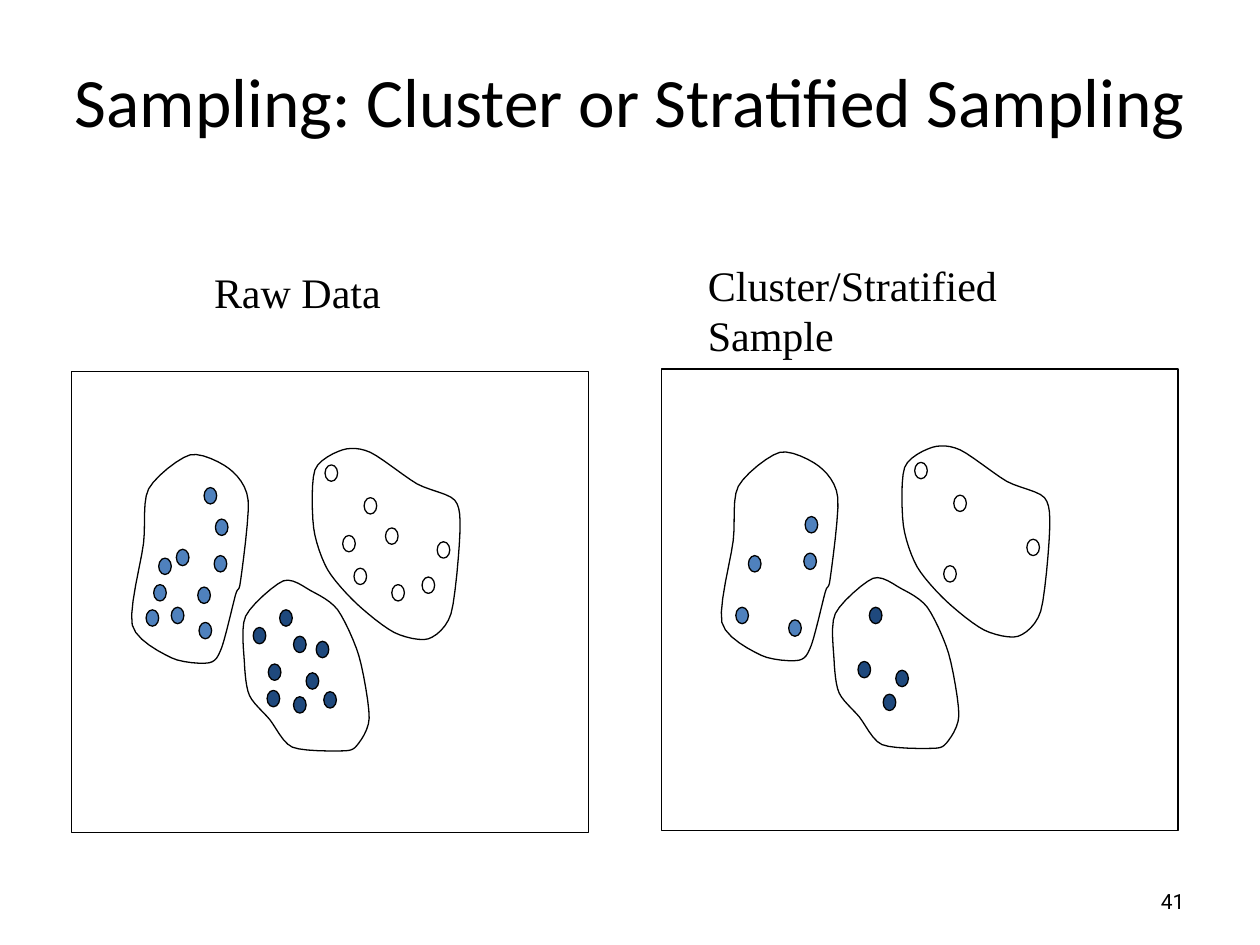
from pptx import Presentation
from pptx.dml.color import RGBColor
from pptx.enum.shapes import MSO_SHAPE
from pptx.enum.text import MSO_ANCHOR, PP_ALIGN
from pptx.util import Inches, Pt

DOT, RECT = MSO_SHAPE.FLOWCHART_CONNECTOR, MSO_SHAPE.RECTANGLE
LEFT, MID, RIGHT = PP_ALIGN.LEFT, PP_ALIGN.CENTER, PP_ALIGN.RIGHT
TOP, CENTER = MSO_ANCHOR.TOP, MSO_ANCHOR.MIDDLE
BLACK = RGBColor(0x00, 0x00, 0x00)
WHITE = RGBColor(0xFF, 0xFF, 0xFF)
NAVY = RGBColor(0x1F, 0x49, 0x7D)
BLUE = RGBColor(0x4F, 0x81, 0xBD)

WIDE, HIGH = 10, 7.5
FRAME = (0.57, 2.95, 4.1, 3.66)
SIZE = (0.1, 0.13)
STEPS = 6
BEND = 0.4

TITLE = "Sampling: Cluster or Stratified Sampling"
# text, box, right inset, wrap, font, size, alignment, anchor
LABELS = [
    ("Raw Data", (1.6, 2.07, 1.61, 0.5), 0.1, False, "Times New Roman", 24, LEFT, TOP),
    ("Cluster/Stratified Sample", (5.52, 2.01, 3.57, 0.5), 0.6, True,
     "Times New Roman", 24, LEFT, TOP),
    ("41", (7.17, 6.95, 2.33, 0.4), 0.1, True, "Roboto", 12, RIGHT, CENTER),
]

# Each cluster: dots kept in the sample, dots left out, and the points
# that its smooth outline passes through.
CLUSTERS = [
    {
        "fill": WHITE,
        "kept": [(2.89, 3.95), (2.81, 4.51), (3.47, 4.3), (2.58, 3.69)],
        "rest": [(3.06, 4.19), (2.72, 4.25), (3.35, 4.58), (3.11, 4.64)],
        "edge": [(3.61, 3.97), (3.65, 4.24), (3.58, 4.87), (3.4, 5.07), (3.13, 5.02),
                 (2.83, 4.79), (2.6, 4.52), (2.49, 4.19), (2.5, 3.73), (2.72, 3.57),
                 (2.94, 3.59), (3.31, 3.84)],
    },
    {
        "fill": NAVY,
        "kept": [(2.33, 5.53), (2.43, 5.34), (2.13, 5.27), (2.22, 4.84)],
        "rest": [(2.01, 4.98), (2.51, 5.09), (2.12, 5.48), (2.33, 5.05), (2.57, 5.49)],
        "edge": [(2.14, 5.71), (1.98, 5.52), (1.94, 5.26), (1.95, 4.89), (2.25, 4.61),
                 (2.47, 4.69), (2.68, 4.84), (2.85, 5.21), (2.93, 5.7), (2.83, 5.92),
                 (2.71, 5.96), (2.32, 5.93)],
    },
    {
        "fill": BLUE,
        "kept": [(1.16, 4.84), (1.26, 4.43), (1.58, 4.94), (1.7, 4.41), (1.71, 4.12)],
        "rest": [(1.36, 4.82), (1.22, 4.64), (1.57, 4.66), (1.4, 4.36), (1.62, 3.87)],
        "edge": [(1.87, 4.72), (1.76, 5.14), (1.66, 5.26), (1.36, 5.22), (1.05, 4.96),
                 (1.14, 4.31), (1.18, 3.88), (1.51, 3.61), (1.82, 3.72), (1.97, 3.97),
                 (1.91, 4.61)],
    },
]
# shift of the panel, and which dots it shows
PANELS = [((0, 0), ("kept", "rest")), ((4.68, -0.02), ("kept",))]


def paint(shape, fill=None):
    shape.shadow.inherit = False
    if fill is None:
        shape.fill.background()
    else:
        shape.fill.solid()
        shape.fill.fore_color.rgb = fill
    shape.line.color.rgb = BLACK
    shape.line.width = Pt(0.75)


def blend(a, b, c, d, t):
    """Return the value at share t of the way from b to c on a smooth curve."""
    u = 1 - t
    return (b * u * u * (1 + 2 * t) + c * t * t * (1 + 2 * u)
            + BEND * t * u * (u * (c - a) - t * (d - b)))


def trace(edge):
    """Return points on a smooth closed curve through the given ones."""
    count = len(edge)
    out = []
    for i in range(count):
        near = [edge[(i + k) % count] for k in range(-1, 3)]
        for step in range(STEPS):
            out.append([blend(*axis, step / STEPS) for axis in zip(*near)])
    return out


def draw_panel(slide, shift, kinds):
    shapes = slide.shapes.add_group_shape().shapes

    def move(spot):
        return [Inches(v + d) for v, d in zip(spot, shift)]

    paint(shapes.add_shape(RECT, *move(FRAME[:2]), *map(Inches, FRAME[2:])))
    for group in CLUSTERS:
        for kind in kinds:
            for spot in group[kind]:
                paint(shapes.add_shape(DOT, *move(spot), *map(Inches, SIZE)), group["fill"])
        first, *others = map(move, trace(group["edge"]))
        pen = shapes.build_freeform(*first)
        pen.add_line_segments(others, close=True)
        paint(pen.convert_to_shape())


def write(shape, text, face, size, align, anchor):
    frame = shape.text_frame
    frame.text = text
    frame.vertical_anchor = anchor
    para = frame.paragraphs[0]
    para.alignment = align
    font = para.runs[0].font
    for key, value in {"name": face, "size": Pt(size)}.items():
        setattr(font, key, value)
    font.color.rgb = BLACK


def main():
    deck = Presentation()
    deck.slide_width, deck.slide_height = Inches(WIDE), Inches(HIGH)
    slide = deck.slides.add_slide(deck.slide_layouts[5])
    title = slide.shapes.title
    spot = {"left": 0.25, "top": 0.33, "width": 9.5, "height": 0.92}
    for key, value in spot.items():
        setattr(title, key, Inches(value))
    write(title, TITLE, "Calibri", 39.6, MID, CENTER)
    for shift, kinds in PANELS:
        draw_panel(slide, shift, kinds)
    for text, box, inset, wrap, *style in LABELS:
        label = slide.shapes.add_textbox(*map(Inches, box))
        label.text_frame.word_wrap = wrap
        label.text_frame.margin_right = Inches(inset)
        write(label, text, *style)
    deck.save("out.pptx")


if __name__ == "__main__":
    main()
